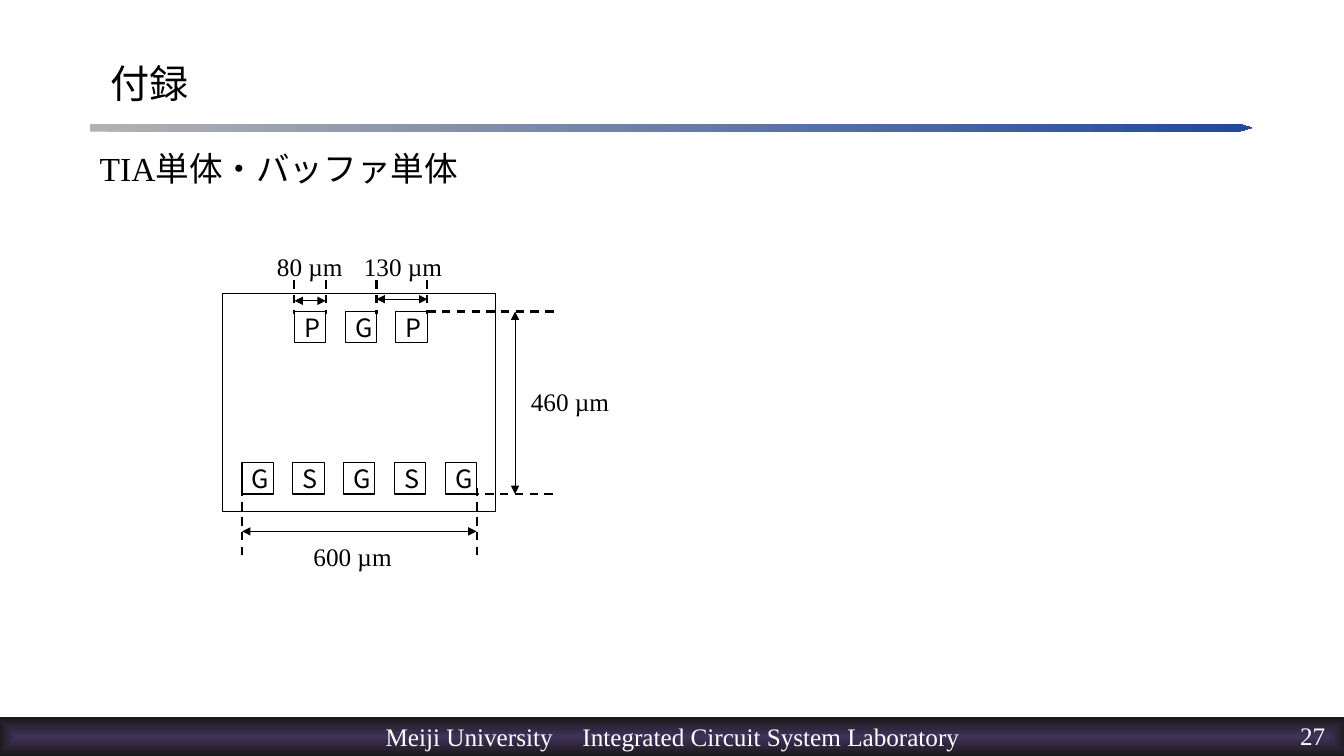
from dataclasses import dataclass

from lxml import etree
from pptx import Presentation
from pptx.dml.color import RGBColor
from pptx.enum.dml import MSO_LINE
from pptx.enum.shapes import MSO_CONNECTOR, MSO_SHAPE
from pptx.enum.text import MSO_ANCHOR, PP_ALIGN
from pptx.oxml.ns import qn
from pptx.util import Cm, Pt

DASH = MSO_LINE.DASH
STRAIGHT = MSO_CONNECTOR.STRAIGHT
RECTANGLE = MSO_SHAPE.RECTANGLE
PENTAGON = MSO_SHAPE.PENTAGON
TOP, MIDDLE = MSO_ANCHOR.TOP, MSO_ANCHOR.MIDDLE
LEFT, CENTER, RIGHT = PP_ALIGN.LEFT, PP_ALIGN.CENTER, PP_ALIGN.RIGHT


@dataclass(frozen=True)
class Theme:
    ink: str = "000000"
    paper: str = "FFFFFF"
    rule_start: str = "B2B2B2"
    rule_end: str = "21499C"
    footer_core: str = "40325A"
    footer_edge: str = "191919"
    serif: str = "Times New Roman"
    sans: str = "Noto Sans CJK JP"
    title: int = 28
    body: int = 24
    label: int = 18
    thin: float = 0.75
    dashed: float = 1.5


THEME = Theme()
PAD, PITCH = 0.79, 1.28


def style(para, size, color=THEME.ink, name=THEME.serif, align=LEFT):
    para.alignment = align
    font = para.font
    font.size = Pt(size)
    font.color.rgb = RGBColor.from_string(color)
    font.name = name
    properties = para._p.get_or_add_pPr().find(qn("a:defRPr"))
    etree.SubElement(properties, qn("a:ea")).set("typeface", THEME.sans)


def add_text(page, box, text, size=THEME.label, color=THEME.ink, align=LEFT,
             anchor=TOP, margin=None):
    frame = page.shapes.add_textbox(*map(Cm, box)).text_frame
    frame.word_wrap = True
    frame.vertical_anchor = anchor
    if margin is not None:
        frame.margin_left = frame.margin_right = Cm(margin)
        frame.margin_top = frame.margin_bottom = Cm(margin)
    para = frame.paragraphs[0]
    para.text = text
    style(para, size, color, align=align)


def add_outline(page, box):
    shape = page.shapes.add_shape(RECTANGLE, *map(Cm, box))
    shape.shadow.inherit = False
    shape.fill.background()
    shape.line.color.rgb = RGBColor.from_string(THEME.ink)
    shape.line.width = Pt(THEME.thin)
    return shape


def add_line(page, start, end, width):
    line = page.shapes.add_connector(STRAIGHT, *map(Cm, (*start, *end)))
    line.line.color.rgb = RGBColor.from_string(THEME.ink)
    line.line.width = Pt(width)
    etree.SubElement(line._element.spPr, qn("a:effectLst"))
    return line


def add_guide(page, start, end):
    add_line(page, start, end, THEME.dashed).line.dash_style = DASH


def add_dimension(page, start, end):
    """Draw a line with an arrowhead at both ends."""
    outline = add_line(page, start, end, THEME.thin).line._get_or_add_ln()
    for end_tag in ("a:headEnd", "a:tailEnd"):
        etree.SubElement(outline, qn(end_tag)).set("type", "triangle")


def add_band(page, box, point, colors):
    band = page.shapes.add_shape(PENTAGON, *map(Cm, box))
    band.adjustments[0] = point
    band.shadow.inherit = False
    band.line.fill.background()
    band.fill.gradient()
    band.fill.gradient_angle = 0
    for stop, position, color in zip(band.fill.gradient_stops, (0, 1), colors):
        stop.position = position
        stop.color.rgb = RGBColor.from_string(color)
    return band


def add_heading(page, box):
    left, top, width, height = box
    add_band(page, (left, top + 2.38, width, 0.2), 1.69,
             (THEME.rule_start, THEME.rule_end))
    add_text(page, (left + 0.28, top, width - 0.58, 2.69), "付録",
             THEME.title, anchor=MIDDLE)
    add_text(page, (left, top + 2.87, width, height - 2.87),
             "TIA単体・バッファ単体", THEME.body)


def add_footer(page, box):
    left, top, width, height = box
    band = add_band(page, box, 0, (THEME.footer_core, THEME.footer_edge))
    gradient = band._element.spPr.find(qn("a:gradFill"))
    radial = etree.Element(qn("a:path"), {"path": "shape"})
    center = etree.SubElement(radial, qn("a:fillToRect"))
    for side in "ltrb":
        center.set(side, "50000")
    gradient.replace(gradient.find(qn("a:lin")), radial)

    frame = band.text_frame
    frame.word_wrap = False
    frame.vertical_anchor = MIDDLE
    para = frame.paragraphs[0]
    para.text = "Meiji University\tIntegrated Circuit System Laboratory"
    tabs = etree.SubElement(para._p.get_or_add_pPr(), qn("a:tabLst"))
    for index in range(8):
        etree.SubElement(tabs, qn("a:tab"),
                         {"pos": str(Cm(1.24 * index)), "algn": "l"})
    style(para, THEME.label, THEME.paper, align=CENTER)
    add_text(page, (left + width - 9.24, top + 0.08, 8.69, 1.45), "27",
             color=THEME.paper, align=RIGHT, margin=0)


def add_pad_row(page, left, top, names):
    for index, name in enumerate(names):
        pad = add_outline(page, (left + index * PITCH, top, PAD, PAD))
        para = pad.text_frame.paragraphs[0]
        para.text = name
        style(para, THEME.label, name=THEME.sans, align=CENTER)


def add_chip(page, box):
    """Draw the die outline with its two pad rows and their dimensions."""
    left, top, width, height = box
    add_outline(page, box)

    upper_left, upper_top = left + 1.81, top + 0.46
    lower_left, lower_top = left + 0.49, top + 4.27
    add_pad_row(page, upper_left, upper_top, "PGP")
    add_pad_row(page, lower_left, lower_top, "GSGSG")
    upper_rights = [upper_left + index * PITCH + PAD for index in range(3)]
    lower_right = lower_left + 4 * PITCH + PAD
    lower_bottom = lower_top + PAD

    for x in (upper_left, *upper_rights):
        add_guide(page, (x, top - 0.33), (x, top + 0.53))
    for x in (lower_left, lower_right):
        add_guide(page, (x, top + 4.9), (x, top + 6.63))
    for x, y in ((upper_rights[2], upper_top), (lower_right - 0.15, lower_bottom)):
        add_guide(page, (x, y), (left + 8.47, y))

    width_y, pitch_y, span_y = top + 0.19, top + 0.15, top + 6
    height_x = left + width + 0.49
    add_dimension(page, (upper_left, width_y), (upper_rights[0], width_y))
    add_dimension(page, (upper_rights[1], pitch_y), (upper_rights[2], pitch_y))
    add_dimension(page, (lower_left, span_y), (lower_right, span_y))
    add_dimension(page, (height_x, upper_top), (height_x, lower_bottom))

    for text, x, y in (("80 µm", 1.12, -1.17), ("130 µm", 3.31, -1.17),
                       ("460 µm", 7.52, 2.21), ("600 µm", 2.04, 6.12)):
        add_text(page, (left + x, top + y, 2.8, 1.02), text)


def main():
    deck = Presentation()
    deck.slide_width, deck.slide_height = Cm(33.87), Cm(19.05)
    page = deck.slides.add_slide(deck.slide_layouts[6])
    add_heading(page, (2.26, 0.74, 29.29, 16.15))
    add_footer(page, (-0.05, 18.08, 34, 0.97))
    add_chip(page, (5.61, 7.39, 6.88, 5.49))
    deck.save("out.pptx")


if __name__ == "__main__":
    main()
